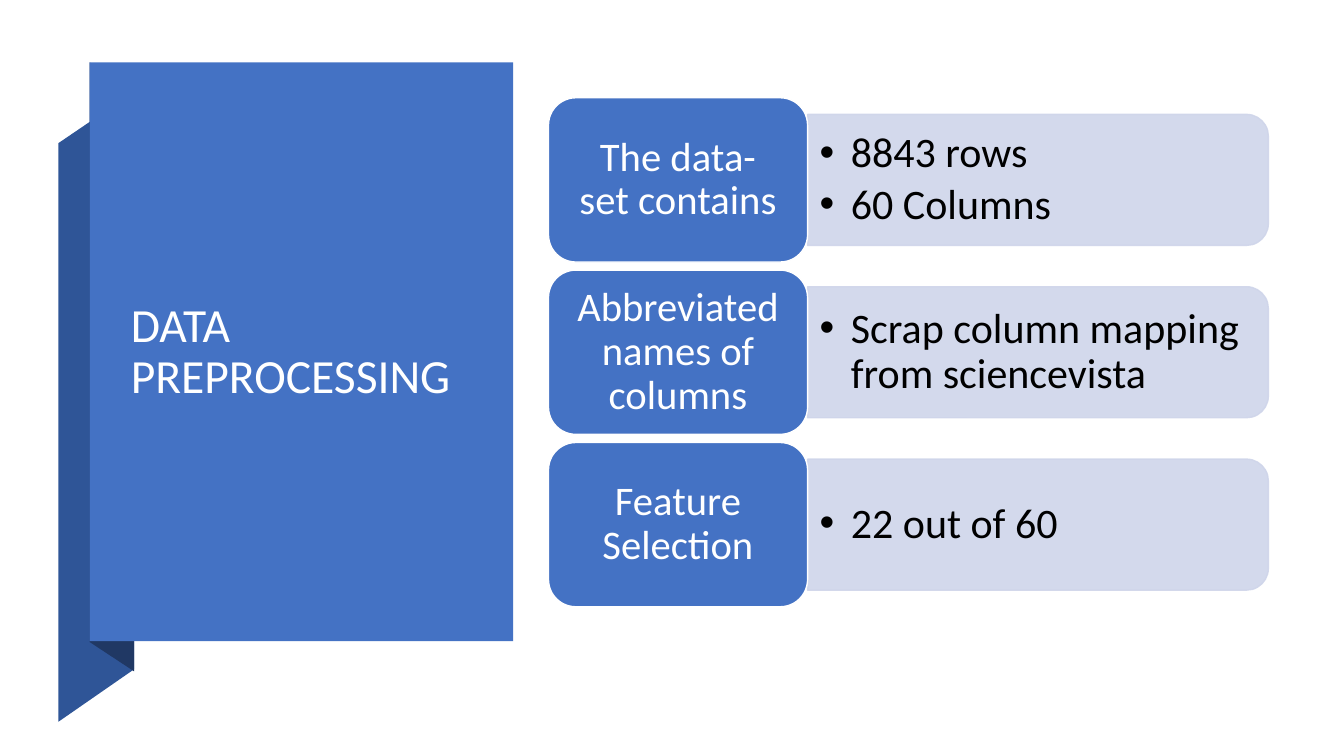
from dataclasses import dataclass

from lxml.etree import SubElement
from pptx import Presentation
from pptx.dml.color import RGBColor
from pptx.enum.shapes import MSO_SHAPE
from pptx.enum.text import MSO_ANCHOR, PP_ALIGN
from pptx.oxml.ns import qn
from pptx.util import Pt

PX = 9144  # EMU per px, 100 px to the inch


@dataclass(frozen=True)
class Theme:
    font: str = "Calibri"
    accent: str = "4472C4"
    fold: str = "2F5597"
    fold_shadow: str = "203864"
    detail: str = "CFD5EA"
    light: str = "FFFFFF"
    dark: str = "000000"
    title_size: float = 34
    card_size: float = 29
    detail_size: float = 30
    line_spacing: float = 0.9


THEME = Theme()

RIBBON_FOLD = [(58, 716), (133, 664), (133, 91), (58, 142)]
RIBBON_SHADOW = [(89, 637), (133, 666), (133, 90), (89, 62)]

ROWS = [
    ("The data-set contains", ["8843 rows", "60 Columns"]),
    ("Abbreviated names of columns", ["Scrap column mapping from sciencevista"]),
    ("Feature Selection", ["22 out of 60"]),
]
ROW_TOP, ROW_PITCH = 97, 171
CARD_LEFT, CARD_WIDTH, CARD_HEIGHT = 544, 257, 163
DETAIL_LEFT = CARD_LEFT + CARD_WIDTH
DETAIL_WIDTH, DETAIL_HEIGHT = 457, 130
DETAIL_TEXT_WIDTH, DETAIL_TEXT_HEIGHT = 450, 117
BULLET_INDENT = 31


def emu(*lengths):
    return [length * PX for length in lengths]


def paint(shape, fill, line=None):
    shape.shadow.inherit = False
    shape.fill.solid()
    shape.fill.fore_color.rgb = RGBColor.from_string(fill)
    if line:
        shape.line.color.rgb = RGBColor.from_string(line)
        shape.line.width = Pt(1)
    else:
        shape.line.fill.background()


def set_opacity(shape, percent):
    """Make the fill and the outline equally translucent."""
    for color in shape.fill._xPr.iter(qn("a:srgbClr")):
        SubElement(color, qn("a:alpha"), val=str(percent * 1000))


def write_text(shape, lines, size, color, insets, align=PP_ALIGN.LEFT):
    """Fill a shape with middle-anchored lines; insets are (horizontal, vertical) px."""
    frame = shape.text_frame
    frame.text = "\n".join(lines)
    frame.word_wrap = True
    frame.vertical_anchor = MSO_ANCHOR.MIDDLE
    frame.margin_left = frame.margin_right = insets[0] * PX
    frame.margin_top = frame.margin_bottom = insets[1] * PX
    for paragraph in frame.paragraphs:
        paragraph.alignment = align
        paragraph.line_spacing = THEME.line_spacing
        for run in paragraph.runs:
            run.font.name = THEME.font
            run.font.size = Pt(size)
            run.font.color.rgb = RGBColor.from_string(color)


def add_bullet(paragraph):
    paragraph.space_after = Pt(THEME.detail_size * 0.15)
    properties = paragraph._p.get_or_add_pPr()
    properties.set("marL", str(BULLET_INDENT * PX))
    properties.set("indent", str(-BULLET_INDENT * PX))
    SubElement(properties, qn("a:buFont"), typeface="Arial")
    SubElement(properties, qn("a:buChar"), char="•")


def add_polygon(slide, points, fill):
    builder = slide.shapes.build_freeform(*points[0], scale=PX)
    builder.add_line_segments(points[1:], close=True)
    paint(builder.convert_to_shape(), fill)


def add_title_ribbon(slide, title):
    add_polygon(slide, RIBBON_FOLD, THEME.fold)
    add_polygon(slide, RIBBON_SHADOW, THEME.fold_shadow)
    panel = slide.shapes.add_shape(MSO_SHAPE.RECTANGLE, *emu(89, 62, 420, 574))
    paint(panel, THEME.accent)
    title_box = slide.shapes.add_textbox(*emu(120, 97, 353, 506))
    write_text(title_box, [title], THEME.title_size, THEME.light, (10, 5))


def add_detail(slide, center_y, lines):
    # The panel is laid out upright, then turned so its round corners face right.
    left = DETAIL_LEFT + (DETAIL_WIDTH - DETAIL_HEIGHT) / 2
    panel = slide.shapes.add_shape(
        MSO_SHAPE.ROUND_2_SAME_RECTANGLE,
        *(round(value) for value in emu(left, center_y - DETAIL_WIDTH / 2,
                                        DETAIL_HEIGHT, DETAIL_WIDTH)))
    panel.rotation = 90
    paint(panel, THEME.detail, THEME.detail)
    set_opacity(panel, 90)
    text_box = slide.shapes.add_textbox(
        *(round(value) for value in emu(DETAIL_LEFT, center_y - DETAIL_TEXT_HEIGHT / 2,
                                        DETAIL_TEXT_WIDTH, DETAIL_TEXT_HEIGHT)))
    write_text(text_box, lines, THEME.detail_size, THEME.dark, (12, 6))
    for paragraph in text_box.text_frame.paragraphs:
        add_bullet(paragraph)


def add_card(slide, top, label):
    card = slide.shapes.add_shape(
        MSO_SHAPE.ROUNDED_RECTANGLE, *emu(CARD_LEFT, top, CARD_WIDTH, CARD_HEIGHT))
    paint(card, THEME.accent, THEME.light)
    write_text(card, [label], THEME.card_size, THEME.light, (20, 14), PP_ALIGN.CENTER)


def main():
    presentation = Presentation()
    presentation.slide_width, presentation.slide_height = emu(1333, 750)
    slide = presentation.slides.add_slide(presentation.slide_layouts[6])
    add_title_ribbon(slide, "DATA PREPROCESSING")
    for index, (label, lines) in enumerate(ROWS):
        top = ROW_TOP + index * ROW_PITCH
        add_detail(slide, top + CARD_HEIGHT / 2, lines)
        add_card(slide, top, label)
    presentation.save("out.pptx")


if __name__ == "__main__":
    main()
